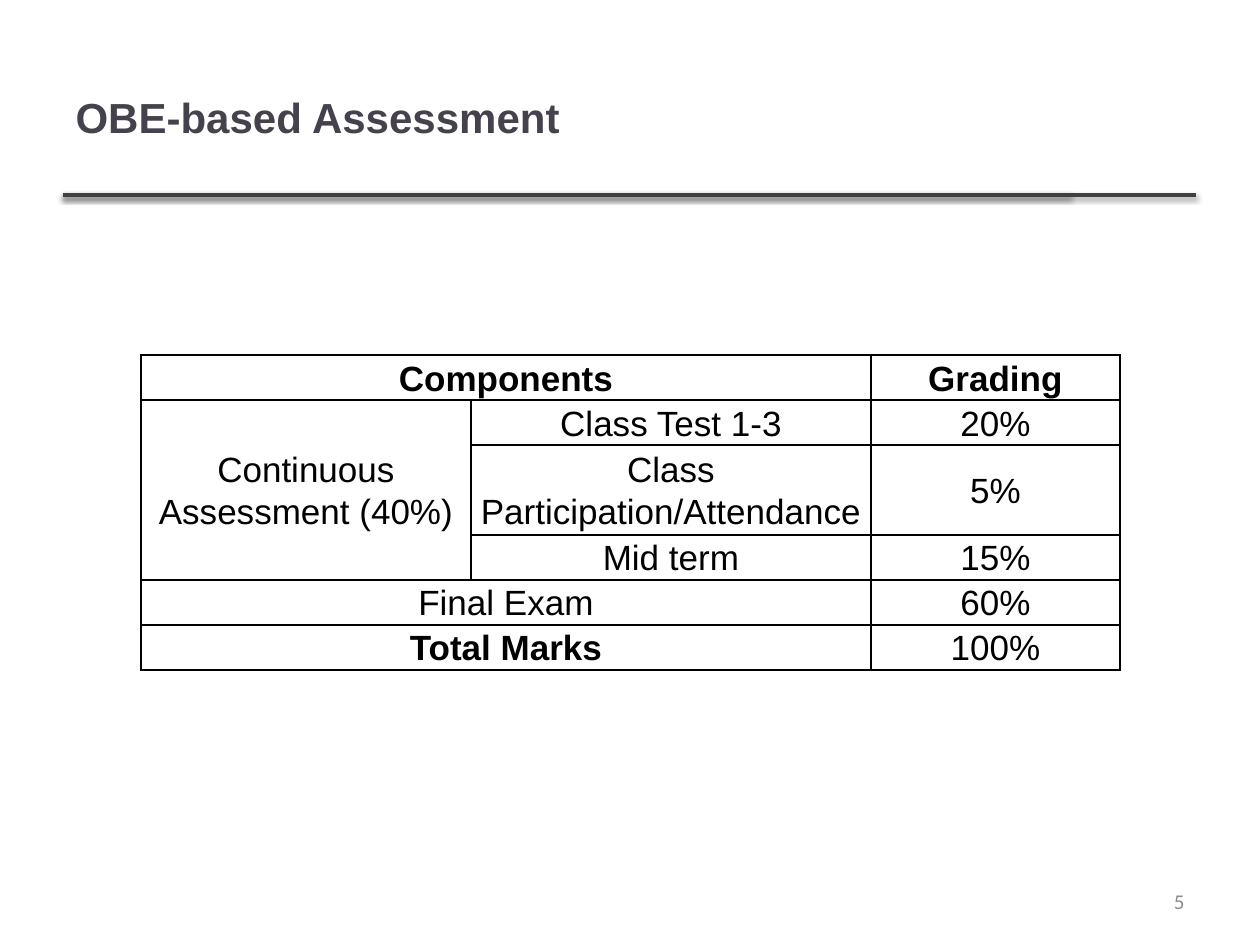
from dataclasses import dataclass

from lxml import etree
from pptx import Presentation
from pptx.dml.color import RGBColor
from pptx.enum.shapes import MSO_CONNECTOR
from pptx.enum.text import MSO_ANCHOR, PP_ALIGN
from pptx.oxml.ns import qn
from pptx.util import Pt

STRAIGHT = MSO_CONNECTOR.STRAIGHT
MIDDLE = MSO_ANCHOR.MIDDLE
LEFT, CENTER, RIGHT = PP_ALIGN.LEFT, PP_ALIGN.CENTER, PP_ALIGN.RIGHT
EMU_PER_PX = 914400 / 126
TITLE_ONLY = 5


@dataclass(frozen=True)
class Theme:
    """Colours, fonts and type sizes of the slide."""

    title: str = "46424D"
    rule: str = "404040"
    ink: str = "000000"
    muted: str = "8C8C8C"
    font: str = "Arial"
    number_font: str = "Calibri"
    title_size: int = 24
    table_size: int = 20
    number_size: int = 12


THEME = Theme()
COLUMN_WIDTHS = (330, 400, 249)
ROW_HEIGHTS = (42, 42, 84, 42, 42, 42)
GRADING = (
    ("Components", "", "Grading"),
    ("Continuous Assessment (40%)", "Class Test 1-3", "20%"),
    ("", "Class Participation/Attendance", "5%"),
    ("", "Mid term", "15%"),
    ("Final Exam", "", "60%"),
    ("Total Marks", "", "100%"),
)
MERGES = (((0, 0), (0, 1)), ((1, 0), (3, 0)), ((4, 0), (4, 1)), ((5, 0), (5, 1)))
BOLD_LABELS = ("Components", "Grading", "Total Marks")


def px(length):
    """Turn pixels into EMU."""
    return round(length * EMU_PER_PX)


def write(frame, text, align, size, color, font=THEME.font, bold=False):
    """Put one formatted paragraph into a text frame and return it."""
    frame.text = text
    paragraph = frame.paragraphs[0]
    paragraph.alignment = align
    for run in paragraph.runs:
        run.font.name = font
        run.font.size = Pt(size)
        run.font.bold = bold
        run.font.color.rgb = RGBColor.from_string(color)
    return paragraph


def add_title(slide, text):
    """Fill and place the title placeholder."""
    title = slide.shapes.title
    title.left, title.top, title.width, title.height = map(px, (63, 38, 1006, 157))
    title.text_frame.vertical_anchor = MIDDLE
    write(title.text_frame, text, LEFT, THEME.title_size, THEME.title, bold=True)


def add_rule(slide, end):
    """Draw a shadowed rule under the title, from the left margin to end."""
    rule = slide.shapes.add_connector(STRAIGHT, px(63), px(195), px(end), px(195))
    rule.line.width = Pt(2)
    rule.line.color.rgb = RGBColor.from_string(THEME.rule)
    effects = etree.SubElement(rule._element.spPr, qn("a:effectLst"))
    shadow = etree.SubElement(
        effects, qn("a:outerShdw"), blurRad=str(Pt(3.1)), dist=str(Pt(1.6)),
        dir="5400000", rotWithShape="0")
    shade = etree.SubElement(shadow, qn("a:srgbClr"), val=THEME.ink)
    etree.SubElement(shade, qn("a:alpha"), val="38000")


def add_borders(cell):
    """Give a cell a thin line on all four sides."""
    properties = cell._tc.get_or_add_tcPr()
    for position, side in enumerate(("a:lnL", "a:lnR", "a:lnT", "a:lnB")):
        border = etree.Element(qn(side), w=str(Pt(1)))
        fill = etree.SubElement(border, qn("a:solidFill"))
        etree.SubElement(fill, qn("a:srgbClr"), val=THEME.ink)
        properties.insert(position, border)


def format_cell(cell, text):
    """Write and style one cell of the grading table."""
    cell.fill.background()
    cell.vertical_anchor = MIDDLE
    cell.margin_left = cell.margin_right = px(9)
    cell.margin_top = cell.margin_bottom = 0
    paragraph = write(cell.text_frame, text, CENTER, THEME.table_size, THEME.ink,
                      bold=text in BOLD_LABELS)
    paragraph.line_spacing = 1.07
    paragraph.space_after = Pt(8)
    add_borders(cell)


def add_grading_table(slide):
    """Add the table of assessment components and their shares."""
    table = slide.shapes.add_table(
        len(ROW_HEIGHTS), len(COLUMN_WIDTHS), px(141), px(355),
        px(sum(COLUMN_WIDTHS)), px(sum(ROW_HEIGHTS))).table
    table.first_row = table.horz_banding = False
    for column, width in zip(table.columns, COLUMN_WIDTHS):
        column.width = px(width)
    for row, height in zip(table.rows, ROW_HEIGHTS):
        row.height = px(height)
    for row, labels in zip(table.rows, GRADING):
        for cell, label in zip(row.cells, labels):
            format_cell(cell, label)
    for first, last in MERGES:
        table.cell(*first).merge(table.cell(*last))


def add_slide_number(slide, number):
    """Add the page number at the lower right."""
    frame = slide.shapes.add_textbox(px(903), px(876), px(294), px(50)).text_frame
    frame.word_wrap = True
    frame.vertical_anchor = MIDDLE
    write(frame, number, RIGHT, THEME.number_size, THEME.muted, THEME.number_font)


def main():
    """Build and save the slide."""
    deck = Presentation()
    deck.slide_width, deck.slide_height = px(1260), px(945)
    slide = deck.slides.add_slide(deck.slide_layouts[TITLE_ONLY])
    for end in (1070, 1196):
        add_rule(slide, end)
    add_title(slide, "OBE-based Assessment")
    add_slide_number(slide, "5")
    add_grading_table(slide)
    deck.save("out.pptx")


if __name__ == "__main__":
    main()
